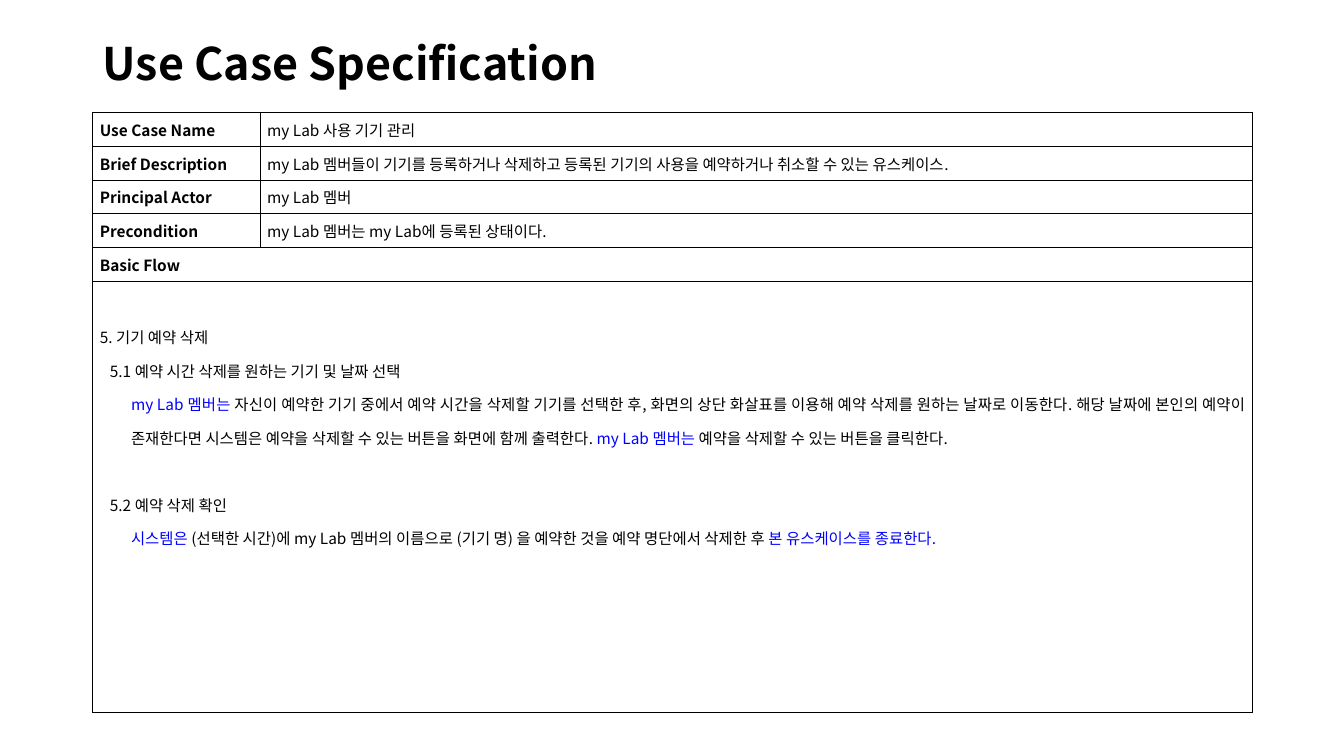
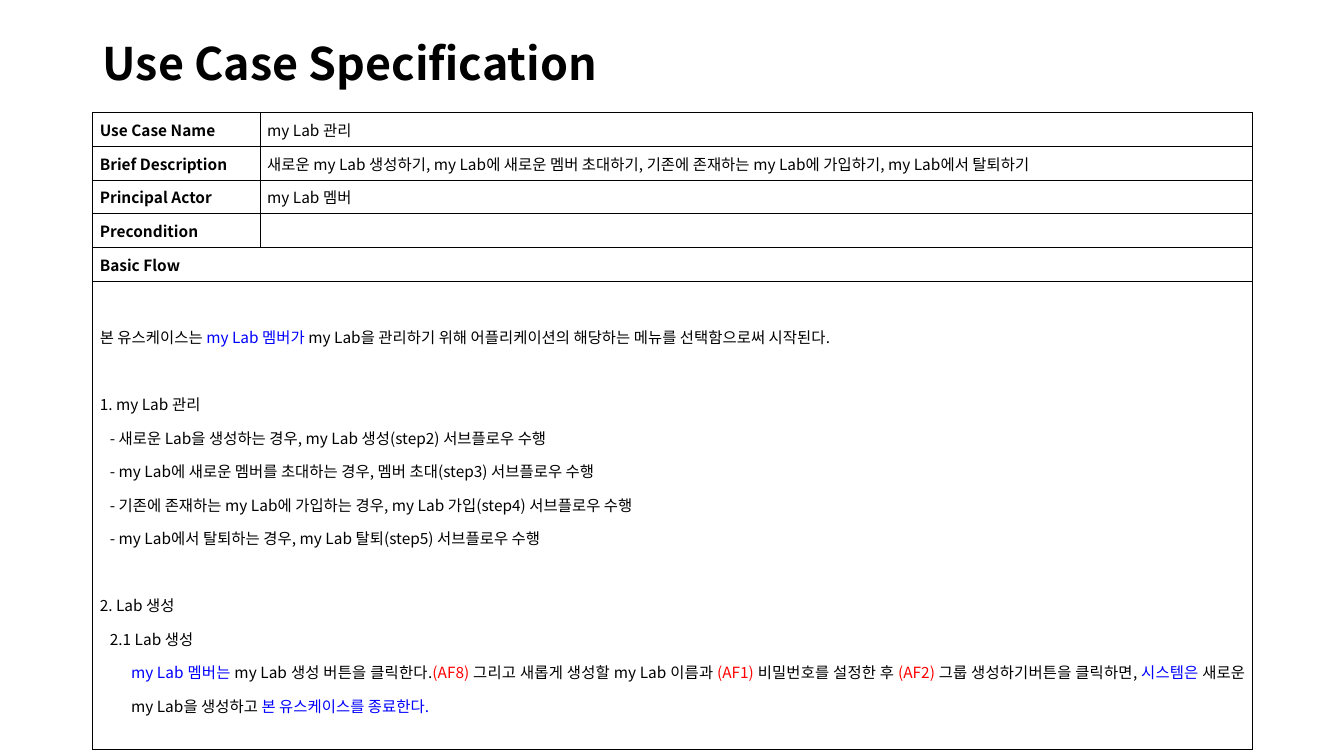
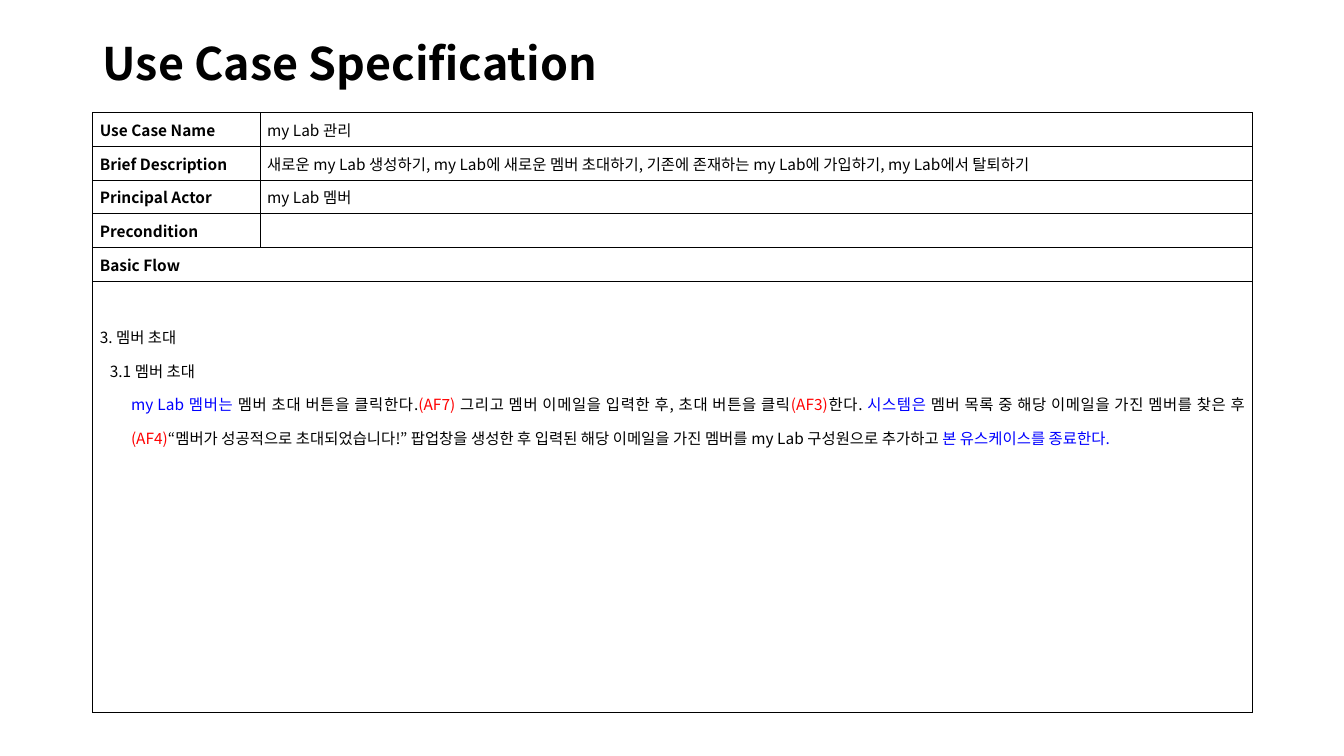
from dataclasses import dataclass

from lxml.etree import SubElement
from pptx import Presentation
from pptx.dml.color import RGBColor
from pptx.enum.text import MSO_ANCHOR as Anchor, PP_ALIGN as Align
from pptx.oxml.ns import qn
from pptx.util import Inches, Pt

FONT = "Noto Sans CJK KR"
BLACK = RGBColor(0x00, 0x00, 0x00)
BLUE = RGBColor(0x00, 0x00, 0xFF)
RED = RGBColor(0xFF, 0x00, 0x00)

LEFT, WIDTH = Inches(0.92), Inches(11.5)
LABEL_WIDTH = Inches(1.66)
FACTS_HEIGHT = Inches(1.67)
FLOW_HEIGHT, LONG_FLOW_HEIGHT = Inches(4.28), Inches(4.65)
LABELS = ("Use Case Name", "Brief Description", "Principal Actor",
          "Precondition", "Basic Flow")
STEP, DETAIL = 0.1, 0.31
BLANK_LINE = 24


@dataclass
class Line:
    """One paragraph of a flow; a run is a string or a (text, colour) pair."""
    runs: tuple
    indent: float = 0
    gap: float = 0


def write(paragraph, *runs, size=11, bold=False, align=Align.JUSTIFY,
          spacing=1.0, indent=0, gap=0):
    """Fill a paragraph with runs in the shared font."""
    paragraph.alignment = align
    paragraph.line_spacing = spacing
    if gap:
        paragraph.space_before = Pt(gap)
    if indent:
        paragraph._p.get_or_add_pPr().set("marL", str(Inches(indent)))
    for part in runs:
        text, colour = (part, BLACK) if isinstance(part, str) else part
        run = paragraph.add_run()
        run.text = text
        run.font.name = FONT
        run.font.size = Pt(size)
        run.font.bold = bold
        run.font.color.rgb = colour
        SubElement(run._r.get_or_add_rPr(), qn("a:ea"), typeface=FONT)


def style_cell(cell):
    """Give a cell black borders, no fill and narrow margins."""
    properties = cell._tc.get_or_add_tcPr()
    for side in ("a:lnL", "a:lnR", "a:lnT", "a:lnB"):
        border = SubElement(properties, qn(side), w=str(Pt(1)))
        fill = SubElement(border, qn("a:solidFill"))
        SubElement(fill, qn("a:srgbClr"), val=str(BLACK))
    cell.fill.background()
    cell.margin_left = cell.margin_right = Inches(0.07)
    cell.margin_top = cell.margin_bottom = 0
    cell.vertical_anchor = Anchor.MIDDLE


def add_title(slide, left, top, width, height):
    """Place the heading shared by all slides."""
    frame = slide.shapes.add_textbox(left, top, width, height).text_frame
    frame.word_wrap = True
    frame.vertical_anchor = Anchor.MIDDLE
    write(frame.paragraphs[0], "Use Case Specification", size=32, bold=True,
          align=Align.LEFT, spacing=0.9)


def fill_flow(cell, flow):
    """Write the steps of the basic flow into its cell."""
    cell.vertical_anchor = Anchor.TOP
    cell.margin_top = Inches(0.33)
    frame = cell.text_frame
    for number, line in enumerate(flow):
        paragraph = frame.add_paragraph() if number else frame.paragraphs[0]
        write(paragraph, *line.runs, spacing=1.5, indent=line.indent, gap=line.gap)


def add_use_case(slide, left, top, width, facts, flow, flow_height):
    """Place the table of facts with the basic flow below them."""
    count = len(LABELS)
    table = slide.shapes.add_table(count + 1, 2, left, top, width,
                                   FACTS_HEIGHT + flow_height).table
    table.first_row = table.horz_banding = False
    table.columns[0].width = LABEL_WIDTH
    table.columns[1].width = width - LABEL_WIDTH
    for row in table.rows:
        row.height = FACTS_HEIGHT // count
    table.rows[count].height = flow_height
    for cell in table.iter_cells():
        style_cell(cell)
    for row in (count - 1, count):
        table.cell(row, 0).merge(table.cell(row, 1))
    for row, label in enumerate(LABELS):
        write(table.cell(row, 0).text_frame.paragraphs[0], label, bold=True)
    for row, fact in enumerate(facts):
        write(table.cell(row, 1).text_frame.paragraphs[0], fact)
    fill_flow(table.cell(count, 0), flow)


DEVICE_FACTS = (
    "my Lab 사용 기기 관리",
    "my Lab 멤버들이 기기를 등록하거나 삭제하고 등록된 기기의 사용을 예약하거나 취소할 수 있는 유스케이스.",
    "my Lab 멤버",
    "my Lab 멤버는 my Lab에 등록된 상태이다.",
)
LAB_FACTS = (
    "my Lab 관리",
    "새로운 my Lab 생성하기, my Lab에 새로운 멤버 초대하기, 기존에 존재하는 my Lab에 가입하기, my Lab에서 탈퇴하기",
    "my Lab 멤버",
)
MEMBER = ("my Lab 멤버는 ", BLUE)
SYSTEM = ("시스템은 ", BLUE)
END = ("본 유스케이스를 종료한다.", BLUE)

CANCEL_FLOW = (
    Line(("5. 기기 예약 삭제",)),
    Line(("5.1 예약 시간 삭제를 원하는 기기 및 날짜 선택",), STEP),
    Line((MEMBER,
          "자신이 예약한 기기 중에서 예약 시간을 삭제할 기기를 선택한 후, "
          "화면의 상단 화살표를 이용해 예약 삭제를 원하는 날짜로 이동한다. "
          "해당 날짜에 본인의 예약이 존재한다면 시스템은 예약을 삭제할 수 있는 "
          "버튼을 화면에 함께 출력한다. ",
          MEMBER, "예약을 삭제할 수 있는 버튼을 클릭한다."), DETAIL),
    Line(("5.2 예약 삭제 확인",), STEP, BLANK_LINE),
    Line((SYSTEM,
          "(선택한 시간)에 my Lab 멤버의 이름으로 (기기 명) 을 예약한 것을 "
          "예약 명단에서 삭제한 후 ", END), DETAIL),
)
CREATE_FLOW = (
    Line(("본 유스케이스는 ", ("my Lab 멤버가 ", BLUE),
          "my Lab을 관리하기 위해 어플리케이션의 해당하는 메뉴를 선택함으로써 시작된다.")),
    Line(("1. my Lab 관리",), gap=BLANK_LINE),
    Line(("- 새로운 Lab을 생성하는 경우, my Lab 생성(step2) 서브플로우 수행",), STEP),
    Line(("- my Lab에 새로운 멤버를 초대하는 경우, 멤버 초대(step3) 서브플로우 수행",), STEP),
    Line(("- 기존에 존재하는 my Lab에 가입하는 경우, my Lab 가입(step4) 서브플로우 수행",), STEP),
    Line(("- my Lab에서 탈퇴하는 경우, my Lab 탈퇴(step5) 서브플로우 수행",), STEP),
    Line(("2. Lab 생성",), gap=BLANK_LINE),
    Line(("2.1 Lab 생성",), STEP),
    Line((MEMBER, "my Lab 생성 버튼을 클릭한다.", ("(AF8) ", RED),
          "그리고 새롭게 생성할 my Lab 이름과 ", ("(AF1) ", RED),
          "비밀번호를 설정한 후 ", ("(AF2)", RED),
          " 그룹 생성하기버튼을 클릭하면, ", SYSTEM,
          "새로운 my Lab을 생성하고 ", END), DETAIL),
)
INVITE_FLOW = (
    Line(("3. 멤버 초대",)),
    Line(("3.1 멤버 초대",), STEP),
    Line((MEMBER, "멤버 초대 버튼을 클릭한다.", ("(AF7) ", RED),
          "그리고 멤버 이메일을 입력한 후, 초대 버튼을 클릭", ("(AF3)", RED),
          "한다. ", SYSTEM, "멤버 목록 중 해당 이메일을 가진 멤버를 찾은 후 ",
          ("(AF4)", RED),
          "“멤버가 성공적으로 초대되었습니다!” 팝업창을 생성한 후 입력된 해당 "
          "이메일을 가진 멤버를 my Lab 구성원으로 추가하고 ", END), DETAIL),
)
USE_CASES = (
    (DEVICE_FACTS, CANCEL_FLOW, FLOW_HEIGHT),
    (LAB_FACTS, CREATE_FLOW, LONG_FLOW_HEIGHT),
    (LAB_FACTS, INVITE_FLOW, FLOW_HEIGHT),
)


def main():
    """Build and save the use case slides."""
    deck = Presentation()
    deck.slide_width, deck.slide_height = Inches(13.33), Inches(7.5)
    for facts, flow, flow_height in USE_CASES:
        slide = deck.slides.add_slide(deck.slide_layouts[6])
        add_title(slide, LEFT, Inches(0.4), WIDTH, Inches(0.5))
        add_use_case(slide, LEFT, Inches(1.12), WIDTH, facts, flow, flow_height)
    deck.save("out.pptx")


if __name__ == "__main__":
    main()
